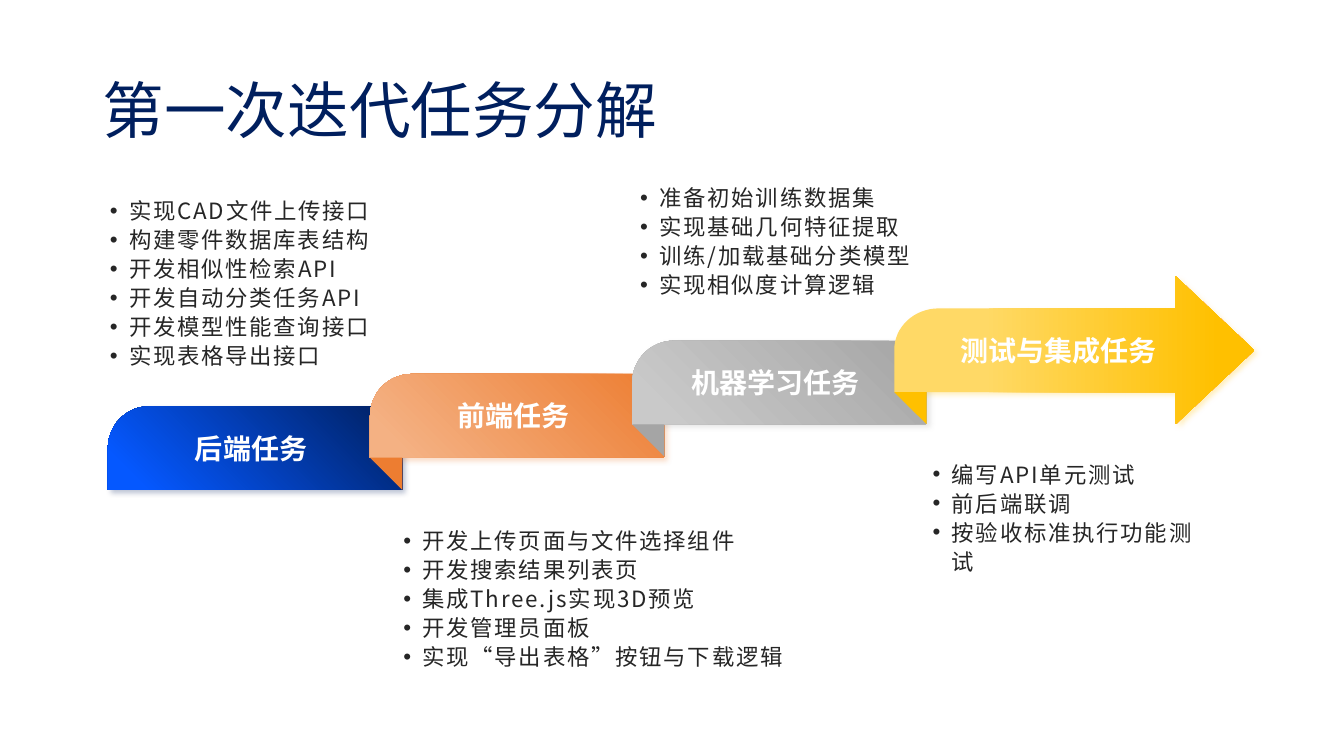
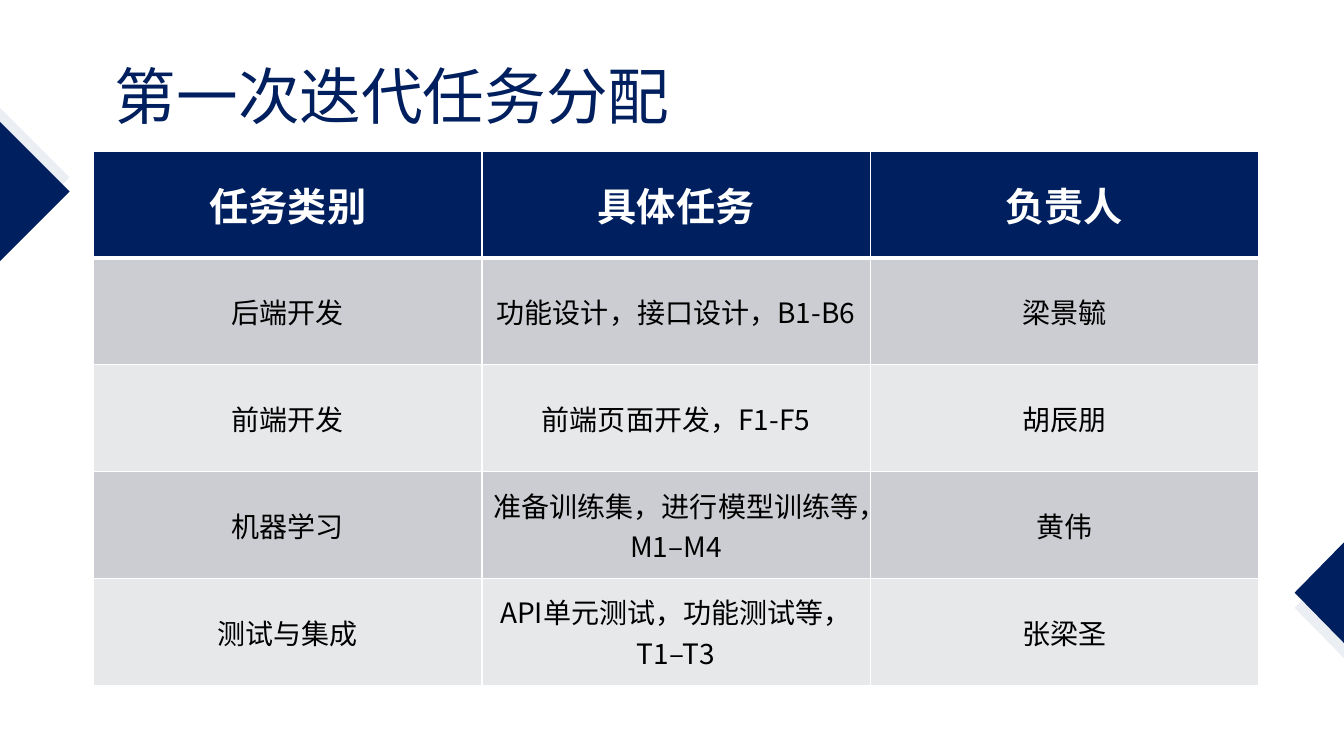
"""Builds two slides on the first iteration: task breakdown and task assignment."""
from math import cos, pi, sin

from lxml.etree import SubElement
from pptx import Presentation
from pptx.dml.color import RGBColor
from pptx.enum.shapes import MSO_SHAPE
from pptx.enum.text import MSO_ANCHOR, PP_ALIGN
from pptx.oxml.ns import qn
from pptx.util import Pt

EMU_PER_PX = 9144
SLIDE_W, SLIDE_H = 1333, 750
FONT = "Noto Sans CJK SC"
COLORS = {
    "navy": "001F5E", "blue": "0558FF", "orange": "ED7D31", "peach": "F4B183",
    "gray": "A5A5A5", "silver": "C9C9C9", "gold": "FFC000", "yellow": "FFD966",
    "white": "FFFFFF", "black": "000000", "text": "262626", "mist": "EBEEF2",
    "band_dark": "CCCDD2", "band_light": "E7E8EA",
}
BAND_W, BAND_H, FOLD = 292, 83, 32
STEPS = [
    {"label": "后端任务", "colors": ("navy", "blue"), "box": (109, 173, 377, 193),
     "anchor": MSO_ANCHOR.BOTTOM,
     "tasks": ["实现CAD文件上传接口", "构建零件数据库表结构", "开发相似性检索API",
               "开发自动分类任务API", "开发模型性能查询接口", "实现表格导出接口"]},
    {"label": "前端任务", "colors": ("orange", "peach"), "box": (400, 521, 406, 145),
     "anchor": MSO_ANCHOR.TOP,
     "tasks": ["开发上传页面与文件选择组件", "开发搜索结果列表页", "集成Three.js实现3D预览",
               "开发管理员面板", "实现“导出表格”按钮与下载逻辑"]},
    {"label": "机器学习任务", "colors": ("gray", "silver"), "box": (635, 150, 325, 146),
     "anchor": MSO_ANCHOR.BOTTOM,
     "tasks": ["准备初始训练数据集", "实现基础几何特征提取", "训练/加载基础分类模型",
               "实现相似度计算逻辑"]},
    {"label": "测试与集成任务", "colors": ("gold", "yellow"), "box": (925, 455, 279, 145),
     "anchor": MSO_ANCHOR.TOP,
     "tasks": ["编写API单元测试", "前后端联调", "按验收标准执行功能测试"]},
]
ASSIGNMENTS = [
    ("任务类别", "具体任务", "负责人"),
    ("后端开发", "功能设计，接口设计，B1-B6", "梁景毓"),
    ("前端开发", "前端页面开发，F1-F5", "胡辰朋"),
    ("机器学习", "准备训练集，进行模型训练等，M1–M4", "黄伟"),
    ("测试与集成", "API单元测试，功能测试等，T1–T3", "张梁圣"),
]


def px(length):
    """Turn px into EMU."""
    return round(length * EMU_PER_PX)


def rgb(name):
    """Look up a named colour."""
    return RGBColor.from_string(COLORS[name])


def style_runs(paragraph, size, color, bold=False, spacing=None):
    """Format every run of a paragraph."""
    for run in paragraph.runs:
        run.font.name, run.font.size, run.font.bold = FONT, Pt(size), bold
        run.font.color.rgb = rgb(color)
        properties = run.font._element
        SubElement(properties, qn("a:ea"), typeface=FONT)
        if spacing:
            properties.set("spc", str(spacing))


def set_margins(frame, left, top, right, bottom):
    """Set the four insets of a text frame."""
    frame.margin_left, frame.margin_top = px(left), px(top)
    frame.margin_right, frame.margin_bottom = px(right), px(bottom)


def add_frame(slide, box, anchor):
    """Add a wrapping text box and return its frame."""
    frame = slide.shapes.add_textbox(*map(px, box)).text_frame
    frame.word_wrap, frame.vertical_anchor = True, anchor
    return frame


def add_title(slide, text, box):
    """Add the slide title."""
    frame = add_frame(slide, box, MSO_ANCHOR.MIDDLE)
    frame.text = text
    frame.paragraphs[0].line_spacing = 0.9
    style_runs(frame.paragraphs[0], 44, "navy")


def add_outline(slide, points):
    """Add a closed freeform through px points."""
    start, *rest = [(px(x), px(y)) for x, y in points]
    builder = slide.shapes.build_freeform(*start, scale=1.0)
    builder.add_line_segments(rest, close=True)
    return builder.convert_to_shape()


def paint_plain(shape, color):
    """Give a shape one flat colour, no line and no shadow."""
    shape.shadow.inherit = False
    shape.fill.solid()
    shape.fill.fore_color.rgb = rgb(color)
    shape.line.fill.background()


def paint_gradient(shape, stops, clockwise_angle, shadow_color):
    """Give a shape a two-stop gradient and a soft shadow."""
    shape.fill.gradient()
    shape.fill.gradient_angle = (360 - clockwise_angle) % 360
    for stop, (color, position) in zip(shape.fill.gradient_stops, stops):
        stop.color.rgb, stop.position = rgb(color), position
    shape.line.fill.background()
    shape.shadow.inherit = False
    effects = shape._element.spPr.find(qn("a:effectLst"))
    shadow = SubElement(effects, qn("a:outerShdw"), blurRad=str(Pt(4)), dist=str(Pt(3)),
                        dir="2700000", algn="tl", rotWithShape="0")
    tint = SubElement(shadow, qn("a:srgbClr"), val=COLORS[shadow_color])
    SubElement(tint, qn("a:alpha"), val="25000")


def add_label(shape, text, margins):
    """Write the white step name inside its band."""
    frame = shape.text_frame
    frame.word_wrap, frame.vertical_anchor = True, MSO_ANCHOR.MIDDLE
    set_margins(frame, *margins)
    frame.text = text
    frame.paragraphs[0].alignment = PP_ALIGN.CENTER
    style_runs(frame.paragraphs[0], 20, "white", True)


def add_band(slide, left, top, step):
    """Add a ribbon band with a rounded top-left corner."""
    band = slide.shapes.add_shape(MSO_SHAPE.ROUND_1_RECTANGLE, px(left), px(top),
                                  px(BAND_W), px(BAND_H))
    band.adjustments[0] = 0.5
    band._element.spPr.find(qn("a:xfrm")).set("flipH", "1")
    dark, light = step["colors"]
    paint_gradient(band, [(dark, 0), (light, 0.9)], 45, dark)
    add_label(band, step["label"], (8, 8, 28, 8))


def add_arrow(slide, left, top, step):
    """Add the closing arrow, whose tail matches the bands."""
    neck, tip, radius_x, radius_y = left + 279, left + 357, 44, 41
    corner = [(left + radius_x * (1 - cos(turn)), top + radius_y * (1 - sin(turn)))
              for turn in (pi / 2 * part / 16 for part in range(17))]
    arrow = add_outline(slide, [
        (neck, top - FOLD), (tip, top + BAND_H / 2), (neck, top + BAND_H + FOLD),
        (neck, top + BAND_H), (left, top + BAND_H), *corner, (neck, top)])
    dark, light = step["colors"]
    paint_gradient(arrow, [(light, 0.25), (dark, 0.9)], 0, dark)
    add_label(arrow, step["label"], (8, 8, 39, 8))


def add_fold(slide, left, top, color):
    """Add the folded corner below a band."""
    fold = slide.shapes.add_shape(MSO_SHAPE.RIGHT_TRIANGLE, px(left), px(top),
                                  px(FOLD), px(FOLD))
    fold.rotation = 180
    paint_plain(fold, color)


def add_tasks(slide, step):
    """Add the bulleted tasks of a step."""
    frame = add_frame(slide, step["box"], step["anchor"])
    set_margins(frame, 0, 0, 0, 0)
    frame.text = "\n".join(step["tasks"])
    for paragraph in frame.paragraphs:
        paragraph.line_spacing = 1.08
        properties = paragraph._p.get_or_add_pPr()
        properties.set("marL", str(px(19)))
        properties.set("indent", str(px(-19)))
        SubElement(properties, qn("a:buFont"), typeface="Arial")
        SubElement(properties, qn("a:buChar"), char="•")
        style_runs(paragraph, 16, "text", spacing=130)


def add_edge_diamond(slide, edge, tip, top, height, shade_shift):
    """Add a half diamond on a slide edge with its pale shade behind."""
    for color, shift in (("mist", shade_shift), ("navy", 0)):
        start = top + shift
        half = add_outline(slide, [(edge, start), (tip, start + height / 2),
                                   (edge, start + height)])
        paint_plain(half, color)


def add_cell_border(cell, side, width):
    """Draw one white side of a cell."""
    line = SubElement(cell._tc.get_or_add_tcPr(), qn(f"a:{side}"), w=str(Pt(width)))
    SubElement(SubElement(line, qn("a:solidFill")), qn("a:srgbClr"), val=COLORS["white"])


def fill_cell(cell, text, row):
    """Write and colour one table cell."""
    header = row == 0
    cell.text = text
    cell.vertical_anchor = MSO_ANCHOR.MIDDLE
    paragraph = cell.text_frame.paragraphs[0]
    paragraph.alignment = PP_ALIGN.CENTER
    style_runs(paragraph, 28 if header else 20, "white" if header else "black", header)
    for side in ("lnL", "lnR", "lnT", "lnB"):
        thick = (row, side) in ((0, "lnB"), (1, "lnT"))
        add_cell_border(cell, side, 3 if thick else 1)
    cell.fill.solid()
    cell.fill.fore_color.rgb = rgb(
        "navy" if header else "band_dark" if row % 2 else "band_light")


def add_assignments(slide, box):
    """Add the table of tasks and owners."""
    rows, columns = len(ASSIGNMENTS), len(ASSIGNMENTS[0])
    table = slide.shapes.add_table(rows, columns, *map(px, box)).table
    for row, texts in enumerate(ASSIGNMENTS):
        for column, text in enumerate(texts):
            fill_cell(table.cell(row, column), text, row)


def build_breakdown(slide):
    """Build the rising ribbon of task groups."""
    add_title(slide, "第一次迭代任务分解", (92, 40, 1150, 145))
    for index, step in enumerate(STEPS):
        left, top = 107 + 260 * index, 403 - 65 * index // 2
        draw = add_arrow if step is STEPS[-1] else add_band
        draw(slide, left, top, step)
        if index:
            add_fold(slide, left, top + BAND_H, step["colors"][0])
        add_tasks(slide, step)


def build_assignment(slide):
    """Build the assignment table between two edge diamonds."""
    add_title(slide, "第一次迭代任务分配", (104, 59, 1131, 79))
    add_edge_diamond(slide, 0, 69, 121, 138, -14)
    add_edge_diamond(slide, SLIDE_W, 1284, 538, 100, 15)
    add_assignments(slide, (93, 150, 1155, 530))


def main():
    """Build and save the deck."""
    deck = Presentation()
    deck.slide_width, deck.slide_height = px(SLIDE_W), px(SLIDE_H)
    for build in (build_breakdown, build_assignment):
        build(deck.slides.add_slide(deck.slide_layouts[6]))
    deck.save("out.pptx")


if __name__ == "__main__":
    main()
